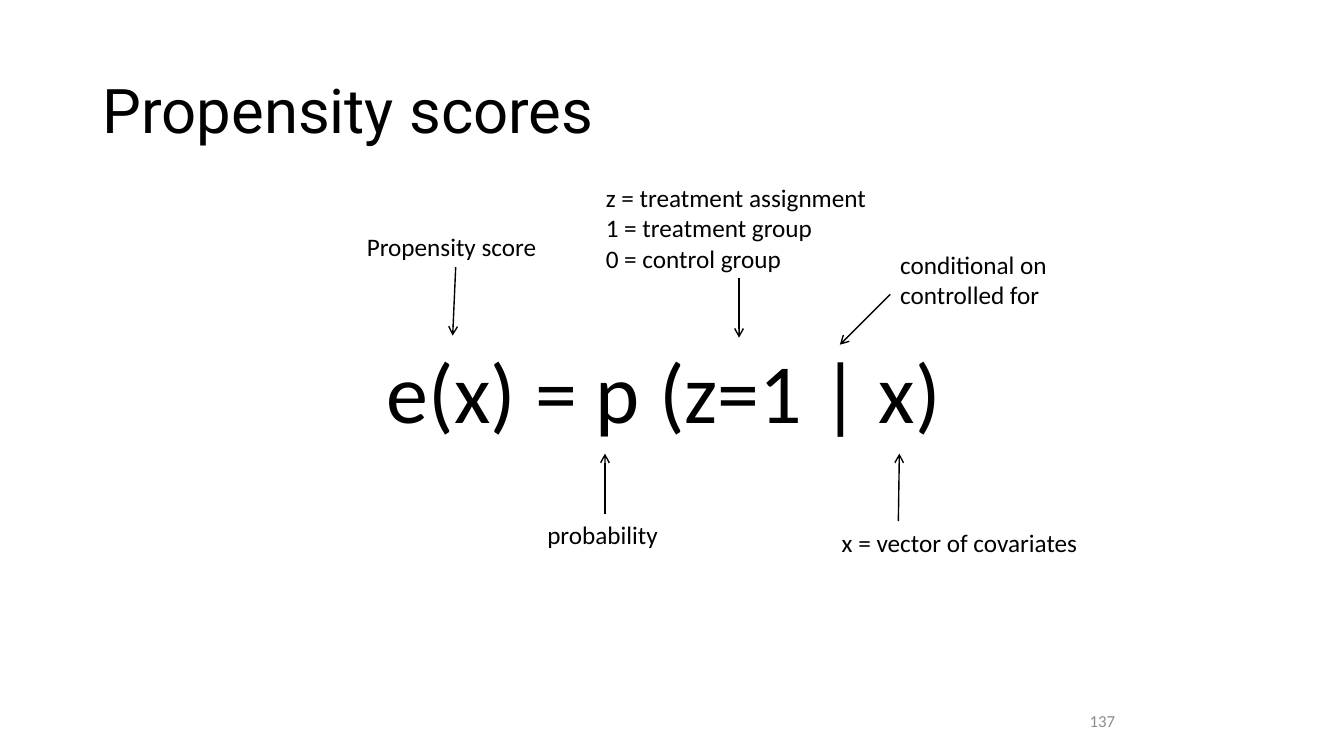
from lxml import etree
from pptx import Presentation
from pptx.dml.color import RGBColor
from pptx.enum.shapes import MSO_CONNECTOR
from pptx.enum.text import MSO_ANCHOR, PP_ALIGN
from pptx.oxml.ns import qn
from pptx.util import Inches, Pt

BLACK = RGBColor(0x00, 0x00, 0x00)
GRAY = RGBColor(0x8C, 0x8C, 0x8C)

# Content: lengths in inches
TITLE = ("Propensity scores", (0.92, 0.4, 11.5, 1.45))
FORMULA = ("e(x) = p (z=1 | x)", (3.74, 3.32, 5.76, 1.11))
PAGE_NUMBER = ("137", (8.83, 6.95, 2.33, 0.4))

# Each note: lines, box, arrow start, arrow end
NOTES = [
    (["Propensity score"], (3.54, 2.25, 1.96, 0.4), (4.52, 2.65), (4.49, 3.33)),
    (["z = treatment assignment", "1 = treatment group", "0 = control group"],
     (5.91, 1.76, 2.92, 1.01), (7.33, 2.76), (7.33, 3.35)),
    (["conditional on", "controlled for"],
     (8.83, 2.42, 1.68, 0.71), (8.83, 2.92), (8.33, 3.42)),
    (["probability"], (5.33, 5.1, 1.37, 0.4), (6, 5.1), (6, 4.5)),
    (["x = vector of covariates"],
     (8.25, 5.18, 2.56, 0.4), (8.91, 5.17), (8.92, 4.5)),
]

prs = Presentation()
prs.slide_width, prs.slide_height = Inches(13.33), Inches(7.5)
slide = prs.slides.add_slide(prs.slide_layouts[6])


def add_text(lines, box, size, font="Calibri", color=BLACK, wrap=False,
             anchor=MSO_ANCHOR.TOP, align=PP_ALIGN.LEFT, spacing=1.0):
    frame = slide.shapes.add_textbox(*map(Inches, box)).text_frame
    frame.word_wrap = wrap
    frame.vertical_anchor = anchor
    frame.text = "\n".join(lines)
    for paragraph in frame.paragraphs:
        paragraph.alignment = align
        paragraph.line_spacing = spacing
        for run in paragraph.runs:
            run.font.name = font
            run.font.size = Pt(size)
            run.font.color.rgb = color


def add_arrow(start, end):
    arrow = slide.shapes.add_connector(
        MSO_CONNECTOR.STRAIGHT, *map(Inches, start + end))
    arrow.line.color.rgb = BLACK
    arrow.line.width = Pt(1)
    etree.SubElement(arrow.line._get_or_add_ln(), qn("a:tailEnd"), type="arrow")
    etree.SubElement(arrow._element.spPr, qn("a:effectLst"))


# Title, formula and page number
title, title_box = TITLE
add_text([title], title_box, 44, font="Roboto", wrap=True,
         anchor=MSO_ANCHOR.MIDDLE, spacing=0.9)
formula, formula_box = FORMULA
add_text([formula], formula_box, 60)
number, number_box = PAGE_NUMBER
add_text([number], number_box, 12, color=GRAY, wrap=True,
         anchor=MSO_ANCHOR.MIDDLE, align=PP_ALIGN.RIGHT)

# Notes with arrows to the parts of the formula
for lines, note_box, start, end in NOTES:
    add_text(lines, note_box, 18, wrap=len(lines) > 2)
    add_arrow(start, end)

prs.save("out.pptx")
